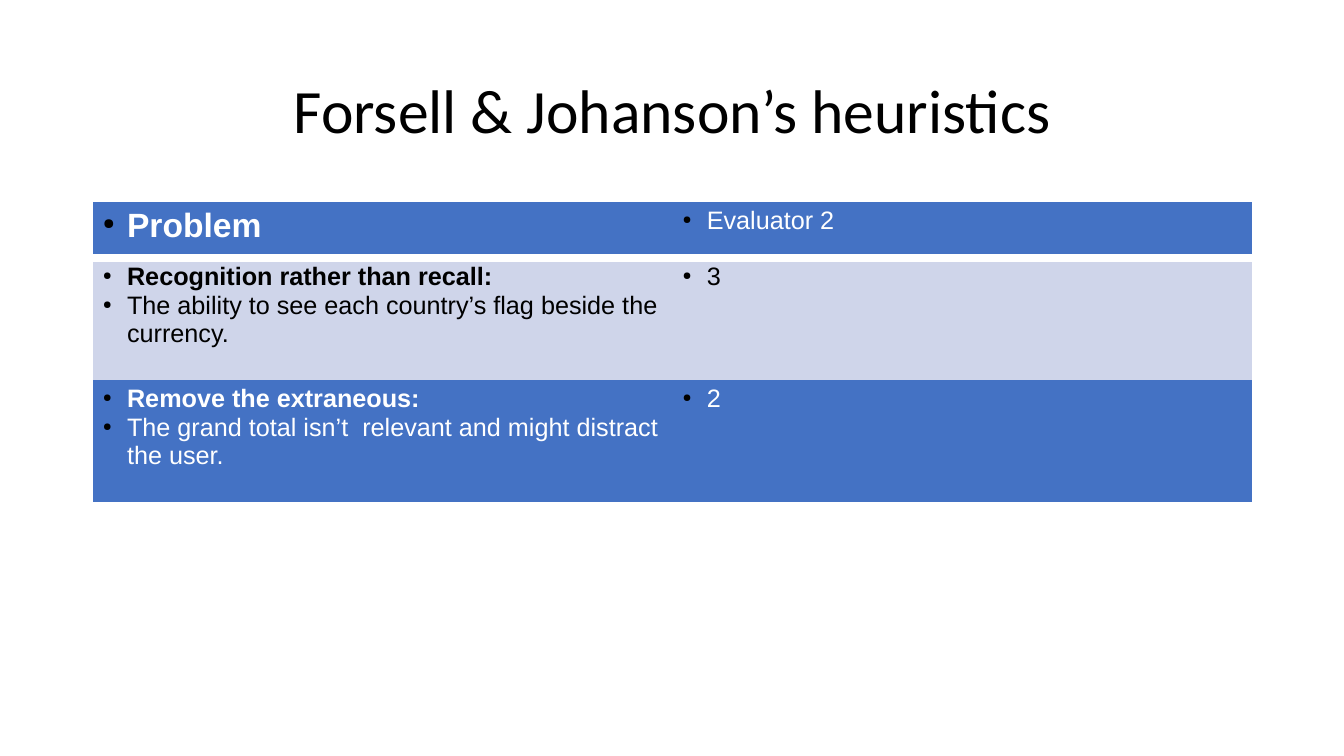
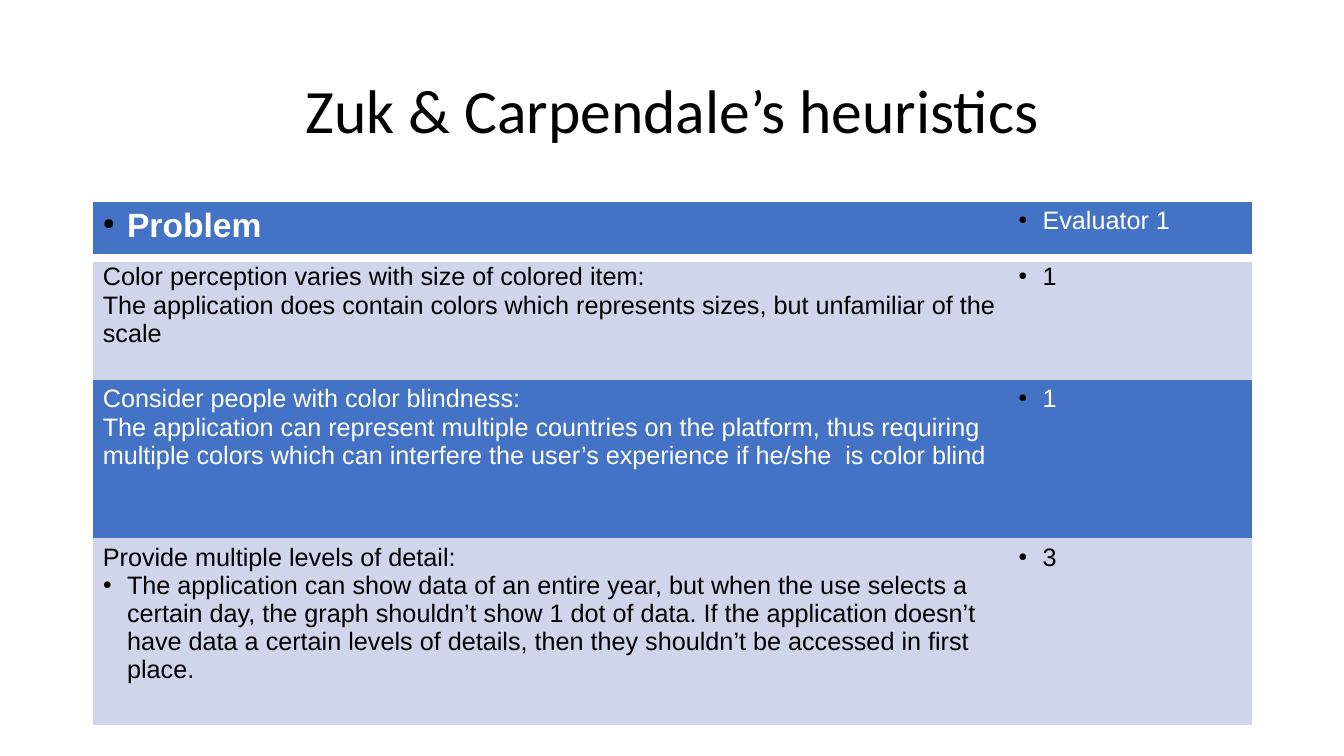
"""Build two heuristic evaluation slides, each a title over a problem table."""
import pptx
import pptx.dml.color
import pptx.enum.text
import pptx.oxml
import pptx.oxml.ns
import pptx.util
from lxml import etree

COLORS = {"blue": "4472C4", "pale": "CFD5EA", "white": "FFFFFF", "black": "000000"}
SLIDE_W, SLIDE_H = 13.33, 7.5
LEFT, WIDTH = 0.92, 11.5
TITLE_TOP, TITLE_H, TABLE_TOP = 0.4, 1.45, 2
INDENT = 0.24
NO_STYLE = "{2D5ABB26-0587-4C30-8999-92F81FD0307C}"
TITLE_FONT = {"name": "Calibri", "size": pptx.util.Pt(44), "bold": False}
HEAD_FONT = {"name": "Arial", "size": pptx.util.Pt(24), "bold": True}
BODY_FONT = {"name": "Arial", "size": pptx.util.Pt(18), "bold": False}
BOLD_FONT = {**BODY_FONT, "bold": True}

SLIDES = [
    {
        "title": "Forsell & Johanson’s heuristics",
        "evaluator": "Evaluator 2",
        "cols": [5.75, 5.75],
        "rows": [0.56, 1.21, 1.21],
        "problems": [
            ([("Recognition rather than recall:", BOLD_FONT, True),
              ("The ability to see each country’s flag beside the currency.", BODY_FONT, True)], "3"),
            ([("Remove the extraneous:", BOLD_FONT, True),
              ("The grand total isn’t  relevant and might distract the user.", BODY_FONT, True)], "2"),
        ],
    },
    {
        "title": "Zuk & Carpendale’s heuristics",
        "evaluator": "Evaluator 1",
        "cols": [9.08, 2.42],
        "rows": [0.56, 1.21, 1.57, 1.85],
        "problems": [
            ([("Color perception varies with size of colored item:", BODY_FONT, False),
              ("The application does contain colors which represents sizes, "
               "but unfamiliar of the scale", BODY_FONT, False)], "1"),
            ([("Consider people with color blindness:", BODY_FONT, False),
              ("The application can represent multiple countries on the platform, "
               "thus requiring multiple colors which can interfere the user’s "
               "experience if he/she  is color blind", BODY_FONT, False)], "1"),
            ([("Provide multiple levels of detail:", BODY_FONT, False),
              ("The application can show data of an entire year, but when the use "
               "selects a certain day, the graph shouldn’t show 1 dot of data. If the "
               "application doesn’t have data a certain levels of details, then they "
               "shouldn’t be accessed in first place.", BODY_FONT, True)], "3"),
        ],
    },
]


def rgb(name):
    return pptx.dml.color.RGBColor.from_string(COLORS[name])


def xml(tag, body="", attrs=""):
    return pptx.oxml.parse_xml(
        f'<a:{tag} {pptx.oxml.ns.nsdecls("a")} {attrs}>{body}</a:{tag}>')


def add_run(p, text, font, color):
    r = p.add_run()
    r.text = text
    for key, value in font.items():
        setattr(r.font, key, value)
    r.font.color.rgb = rgb(color)


def add_bullet(p):
    pPr = p._p.get_or_add_pPr()
    indent = pptx.util.Inches(INDENT)
    pPr.set("marL", str(indent))
    pPr.set("indent", str(-indent))
    pPr.append(xml("buClr", f'<a:srgbClr val="{COLORS["black"]}"/>'))
    pPr.append(xml("buSzPct", attrs='val="45000"'))
    pPr.append(xml("buChar", attrs='char="●"'))


def fill_cell(cell, paragraphs, fill, color):
    cell.fill.solid()
    cell.fill.fore_color.rgb = rgb(fill)
    tf = cell.text_frame
    for i, (text, font, bullet) in enumerate(paragraphs):
        p = tf.add_paragraph() if i else tf.paragraphs[0]
        if bullet:
            add_bullet(p)
        add_run(p, text, font, color)


def underline_cell(cell):
    line = xml("lnB", f'<a:solidFill><a:srgbClr val="{COLORS["white"]}"/></a:solidFill>',
               f'w="{pptx.util.Pt(6)}"')
    cell._tc.get_or_add_tcPr().insert(0, line)


def add_title(s, text):
    title = s.shapes.title
    box = {"left": LEFT, "top": TITLE_TOP, "width": WIDTH, "height": TITLE_H}
    for key, value in box.items():
        setattr(title, key, pptx.util.Inches(value))
    title.text_frame.vertical_anchor = pptx.enum.text.MSO_ANCHOR.MIDDLE
    p = title.text_frame.paragraphs[0]
    p.alignment = pptx.enum.text.PP_ALIGN.CENTER
    p.line_spacing = 0.9
    add_run(p, text, TITLE_FONT, "black")


def add_problem_table(s, data):
    rows = [([("Problem", HEAD_FONT, True)], data["evaluator"])] + data["problems"]
    box = [pptx.util.Inches(v) for v in (LEFT, TABLE_TOP, WIDTH, sum(data["rows"]))]
    frame = s.shapes.add_table(len(rows), len(data["cols"]), *box)
    for style in frame.element.iter(pptx.oxml.ns.qn("a:tableStyleId")):
        style.text = NO_STYLE
    table = frame.table
    for column, width in zip(table.columns, data["cols"]):
        column.width = pptx.util.Inches(width)
    for i, (problem, score) in enumerate(rows):
        table.rows[i].height = pptx.util.Inches(data["rows"][i])
        fill, color = ("pale", "black") if i % 2 else ("blue", "white")
        for j, paragraphs in enumerate((problem, [(score, BODY_FONT, True)])):
            fill_cell(table.cell(i, j), paragraphs, fill, color)
            if i == 0:
                underline_cell(table.cell(i, j))


def main():
    prs = pptx.Presentation()
    prs.slide_width = pptx.util.Inches(SLIDE_W)
    prs.slide_height = pptx.util.Inches(SLIDE_H)
    for data in SLIDES:
        s = prs.slides.add_slide(prs.slide_layouts[5])
        add_title(s, data["title"])
        add_problem_table(s, data)
    prs.save("out.pptx")


if __name__ == "__main__":
    main()
